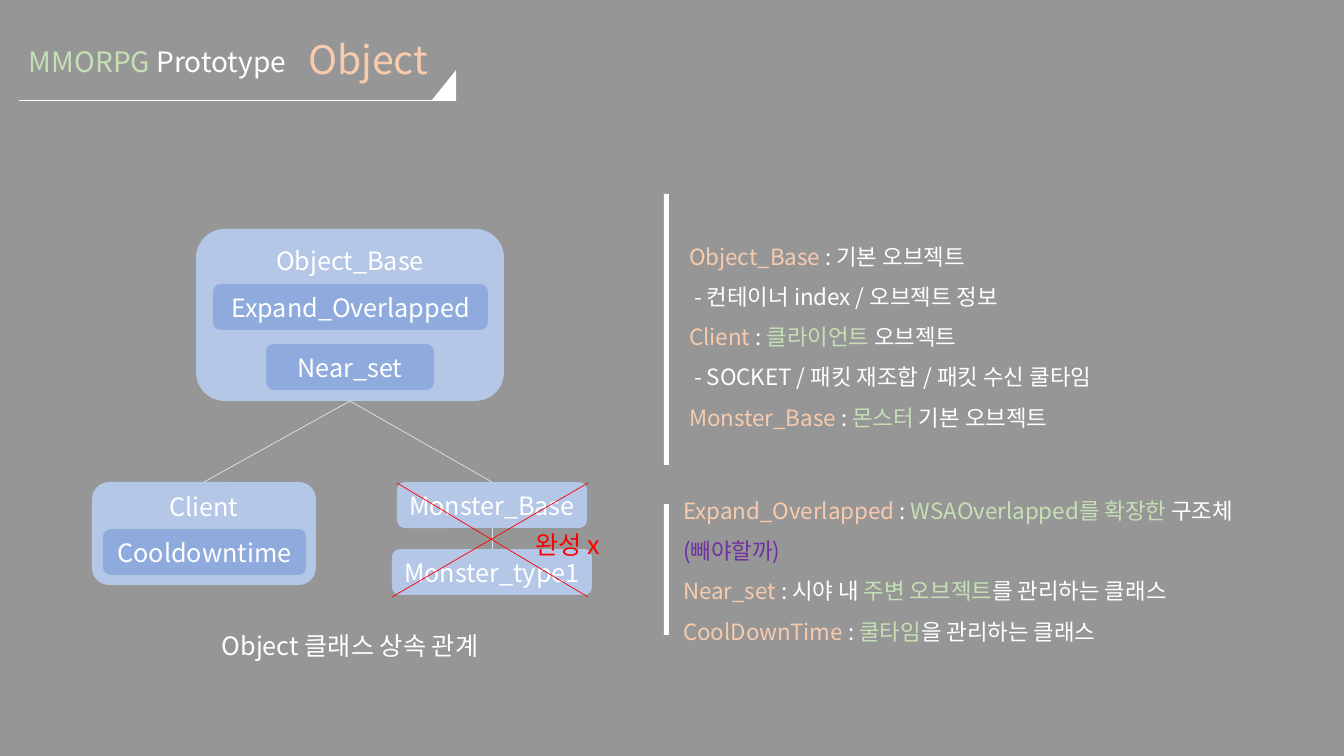
from lxml.etree import SubElement
from pptx import Presentation
from pptx.dml.color import RGBColor
from pptx.enum.shapes import MSO_CONNECTOR, MSO_SHAPE
from pptx.enum.text import MSO_ANCHOR, MSO_AUTO_SIZE, PP_ALIGN
from pptx.oxml.ns import qn
from pptx.util import Emu, Pt

FONT = "Noto Sans CJK KR"
WHITE = RGBColor(0xFF, 0xFF, 0xFF)
GRAY = RGBColor(0x96, 0x96, 0x96)
GREEN = RGBColor(0xC5, 0xE0, 0xB4)
PEACH = RGBColor(0xF8, 0xCB, 0xAD)
PURPLE = RGBColor(0x70, 0x30, 0xA0)
RED = RGBColor(0xFF, 0, 0)
LIGHT = RGBColor(0xB4, 0xC7, 0xE7)
BLUE = RGBColor(0x8F, 0xAA, 0xDC)
PALE = RGBColor(0xDA, 0xE3, 0xF3)

# Content: lengths in px
WIDTH, HEIGHT = 1344, 756
HEAD = [("MMORPG ", GREEN), ("Prototype", WHITE)]
TITLE = [("Object", PEACH)]
CAPTION = [("Object 클래스 상속 관계", WHITE)]
MARK = [("완성 x", RED)]

# Class boxes: name, frame, fill, top inset (None centres the name)
CLASSES = [
    ("Object_Base", (196, 229, 308, 172), LIGHT, 8),
    ("Expand_Overlapped", (213, 284, 275, 46), BLUE, None),
    ("Near_set", (266, 344, 168, 46), BLUE, None),
    ("Client", (92, 482, 224, 103), LIGHT, 4),
    ("Cooldowntime", (103, 529, 203, 46), BLUE, None),
    ("Monster_Base", (397, 482, 190, 46), LIGHT, None),
    ("Monster_type1", (392, 549, 200, 46), LIGHT, None),
]
LINKS = [("Object_Base", "Client"), ("Object_Base", "Monster_Base"),
         ("Monster_Base", "Monster_type1")]
CROSS = [(397, 483, 588, 597), (392, 597, 588, 483)]

# Notes: text frame, bar frame, paragraphs of runs
NOTES = [
    ((679, 195, 653, 270), (664, 194, 5, 271), [
        [("Object_Base ", PEACH), (": 기본 오브젝트", WHITE)],
        [(" - 컨테이너 index / 오브젝트 정보", WHITE)],
        [("Client ", PEACH), (": ", WHITE), ("클라이언트", GREEN),
         (" 오브젝트", WHITE)],
        [(" - SOCKET / 패킷 재조합 / 패킷 수신 쿨타임", WHITE)],
        [("Monster_Base", PEACH), (" : ", WHITE), ("몬스터", GREEN),
         (" 기본 오브젝트", WHITE)],
    ]),
    ((673, 491, 653, 146), (664, 504, 5, 131), [
        [("Expand_Overlapped", PEACH), (" : ", WHITE),
         ("WSAOverlapped를 확장한 ", GREEN), ("구조체", WHITE),
         ("(빼야할까)", PURPLE)],
        [("Near_set ", PEACH), (": 시야 내 ", WHITE),
         ("주변 오브젝트", GREEN), ("를 관리하는 클래스", WHITE)],
        [("CoolDownTime ", PEACH), (": ", WHITE), ("쿨타임", GREEN),
         ("을 관리하는 클래스", WHITE)],
    ]),
]


def px(n):
    return Emu(round(n * 914400 / 100.8))


def place(shape, frame):
    shape.left, shape.top, shape.width, shape.height = map(px, frame)


def write(para, runs, size, align=PP_ALIGN.LEFT):
    para.alignment = align
    for text, color in runs:
        run = para.add_run()
        run.text = text
        font = run.font
        font.name, font.size, font.color.rgb = FONT, Pt(size), color
        SubElement(font._element, qn("a:ea"), typeface=FONT)


def draw(kind, frame, fill):
    shape = slide.shapes.add_shape(kind, *map(px, frame))
    shape.shadow.inherit = False
    shape.fill.solid()
    shape.fill.fore_color.rgb = fill
    shape.line.fill.background()
    return shape


def line(ends, color):
    wire = slide.shapes.add_connector(MSO_CONNECTOR.STRAIGHT, *map(px, ends))
    wire.line.color.rgb, wire.line.width = color, Pt(0.5)
    SubElement(wire._element.spPr, qn("a:effectLst"))


def label(frame, runs, size, align=PP_ALIGN.CENTER):
    box = slide.shapes.add_textbox(*map(px, frame)).text_frame
    box.word_wrap = True
    write(box.paragraphs[0], runs, size, align)
    return box


deck = Presentation()
deck.slide_width, deck.slide_height = px(WIDTH), px(HEIGHT)
slide = deck.slides.add_slide(deck.slide_layouts[3])
slide.background.fill.solid()
slide.background.fill.fore_color.rgb = GRAY
title, *bodies = list(slide.placeholders)[:3]

# Heading with underline and corner
label((19, 40, 279, 44), HEAD, 20, PP_ALIGN.LEFT)
place(title, (298, 17, 179, 90))
title.text_frame.vertical_anchor = MSO_ANCHOR.MIDDLE
title.text_frame.auto_size = MSO_AUTO_SIZE.NONE
title.text_frame.paragraphs[0].line_spacing = 0.9
write(title.text_frame.paragraphs[0], TITLE, 28)
line((456, 100, 19, 100), WHITE)
draw(MSO_SHAPE.RIGHT_TRIANGLE, (429, 73, 30, 24), WHITE).rotation = 270

# Class tree
for name, frame, fill, inset in CLASSES:
    box = draw(MSO_SHAPE.ROUNDED_RECTANGLE, frame, fill).text_frame
    box.word_wrap = True
    box.margin_left = box.margin_right = 0
    box.vertical_anchor = MSO_ANCHOR.MIDDLE
    if inset is not None:
        box.vertical_anchor = MSO_ANCHOR.TOP
        box.margin_top = px(inset)
    write(box.paragraphs[0], [(name, WHITE)], 18, PP_ALIGN.CENTER)

frames = {name: frame for name, frame, *_ in CLASSES}
for upper, lower in LINKS:
    x, y, w, h = frames[upper]
    left, top, wide, _ = frames[lower]
    line((x + w / 2, y + h, left + wide / 2, top), PALE)

# Crossed-out part and caption
for ends in CROSS:
    line(ends, RED)
label((478, 524, 179, 40), MARK, 18)
label((184, 617, 332, 57), CAPTION, 18).vertical_anchor = MSO_ANCHOR.MIDDLE

# Notes beside white bars
for body, (frame, bar, paras) in zip(bodies, NOTES):
    place(body, frame)
    draw(MSO_SHAPE.RECTANGLE, bar, WHITE)
    text = body.text_frame
    text.word_wrap = True
    text.auto_size = MSO_AUTO_SIZE.NONE
    text.vertical_anchor = MSO_ANCHOR.MIDDLE
    for i, runs in enumerate(paras):
        para = text.add_paragraph() if i else text.paragraphs[0]
        props = para._p.get_or_add_pPr()
        props.set("marL", "0")
        props.set("indent", "0")
        SubElement(props, qn("a:buNone"))
        para.line_spacing = 1.5
        para.space_before = Pt(0)
        write(para, runs, 16)

deck.save("out.pptx")
